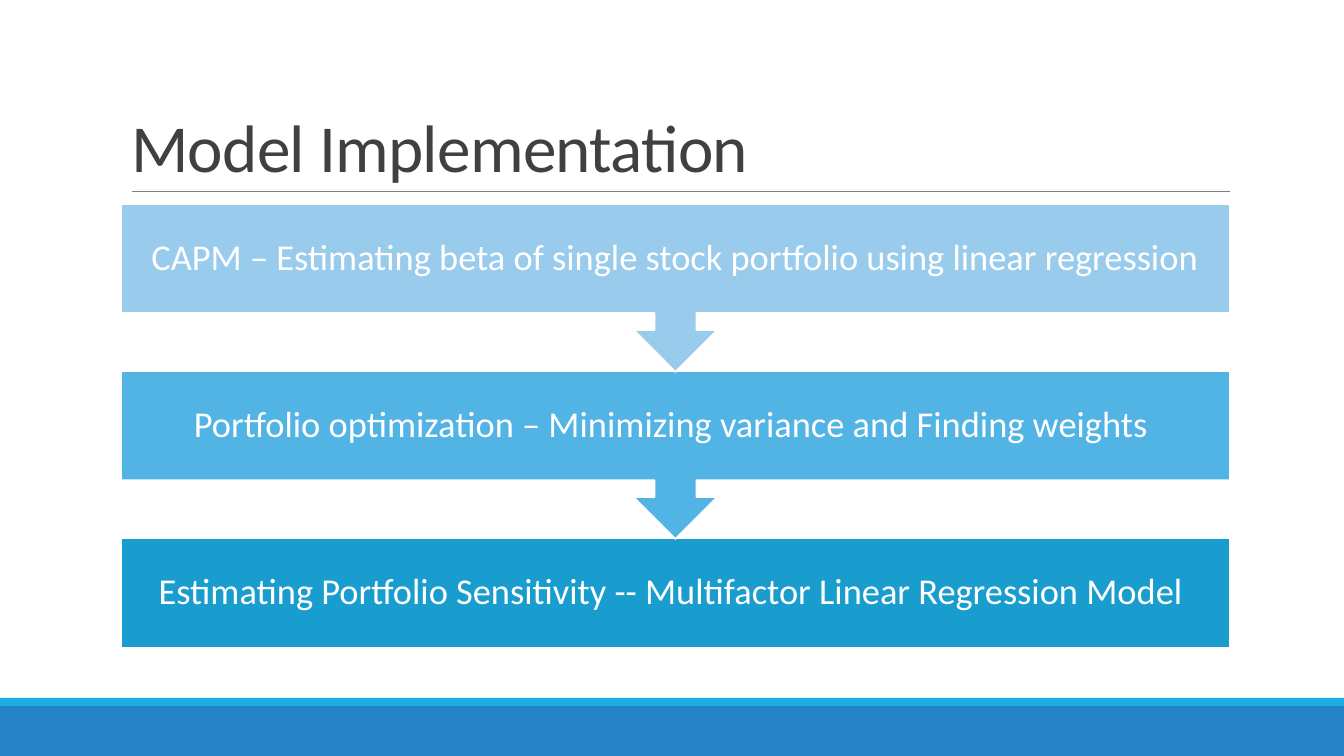
"""Build the Model Implementation slide: three steps linked by arrow callouts."""
import pptx
import pptx.dml.color
import pptx.enum.shapes
import pptx.enum.text
import pptx.oxml
import pptx.util

COLOURS = {
    "title": "404040", "rule": "808080", "white": "FFFFFF",
    "footer": "2683C6", "stripe": "1CADE4",
    "capm": "99CBEC", "optimization": "52B3E5", "sensitivity": "199DCF",
}
TITLE = "Model Implementation"
STEPS = [
    ("CAPM – Estimating beta of single stock portfolio using linear regression", "capm"),
    ("Portfolio optimization – Minimizing variance and Finding weights ", "optimization"),
    ("Estimating Portfolio Sensitivity -- Multifactor Linear Regression Model ", "sensitivity"),
]
BANDS = [("footer", 706, 50), ("stripe", 698, 8)]

SLIDE_W, SLIDE_H = 1344, 756
LEFT, WIDTH = 121, 1109
STEP_TOP, STEP_PITCH = 204, 167
CALLOUT_H, BOX_H, INSET = 168, 110, 20
RULE_LEFT, RULE_RIGHT, RULE_Y = 132, 1230, 191
FONT = "Calibri"
SHAPES = pptx.enum.shapes.MSO_SHAPE
ANCHOR = pptx.enum.text.MSO_ANCHOR
ALIGN = pptx.enum.text.PP_ALIGN


def px(length):
    return pptx.util.Emu(round(length * 12192000 / SLIDE_W))


def rgb(name):
    return pptx.dml.color.RGBColor.from_string(COLOURS[name])


def write(frame, text, size, colour, align, anchor, spacing):
    frame.word_wrap = True
    frame.auto_size = pptx.enum.text.MSO_AUTO_SIZE.NONE
    frame.vertical_anchor = anchor
    paragraph = frame.paragraphs[0]
    paragraph.alignment = align
    paragraph.line_spacing = spacing
    run = paragraph.add_run()
    run.text = text
    run.font.name = FONT
    run.font.size = pptx.util.Pt(size)
    run.font.color.rgb = rgb(colour)
    return run


def add_block(slide, preset, left, top, width, height, fill):
    block = slide.shapes.add_shape(preset, px(left), px(top), px(width), px(height))
    block.shadow.inherit = False
    block.fill.solid()
    block.fill.fore_color.rgb = rgb(fill)
    block.line.fill.background()
    return block


def add_rule(slide):
    rule = slide.shapes.add_connector(
        pptx.enum.shapes.MSO_CONNECTOR.STRAIGHT,
        px(RULE_LEFT), px(RULE_Y), px(RULE_RIGHT), px(RULE_Y))
    rule.line.color.rgb = rgb("rule")
    rule.line.width = pptx.util.Pt(0.5)
    rule._element.spPr.append(pptx.oxml.parse_xml(
        '<a:effectLst xmlns:a="http://schemas.openxmlformats.org/drawingml/2006/main"/>'))


def add_title(slide):
    title = slide.shapes.title
    title.left, title.top, title.width, title.height = px(LEFT), px(31), px(WIDTH), px(160)
    run = write(title.text_frame, TITLE, 48, "title", ALIGN.LEFT, ANCHOR.BOTTOM, 0.85)
    run.font._element.set("spc", "-50")


def add_step(slide, index):
    text, fill = STEPS[index]
    is_last = index == len(STEPS) - 1
    preset = SHAPES.RECTANGLE if is_last else SHAPES.DOWN_ARROW_CALLOUT
    height = BOX_H if is_last else CALLOUT_H
    step = add_block(slide, preset, LEFT, STEP_TOP + index * STEP_PITCH, WIDTH, height, fill)
    step.line.color.rgb = rgb("white")
    step.line.width = pptx.util.Pt(1.25)
    frame = step.text_frame
    frame.margin_left = frame.margin_right = px(INSET)
    frame.margin_top = frame.margin_bottom = px(INSET)
    write(frame, text, 26, "white", ALIGN.CENTER, ANCHOR.MIDDLE, 0.9)


def main():
    deck = pptx.Presentation()
    deck.slide_width, deck.slide_height = px(SLIDE_W), px(SLIDE_H)
    slide = deck.slides.add_slide(deck.slide_layouts[5])
    for fill, top, height in BANDS:
        add_block(slide, SHAPES.RECTANGLE, 0, top, SLIDE_W, height, fill)
    add_rule(slide)
    add_title(slide)
    for index in reversed(range(len(STEPS))):
        add_step(slide, index)
    deck.save("out.pptx")


if __name__ == "__main__":
    main()
